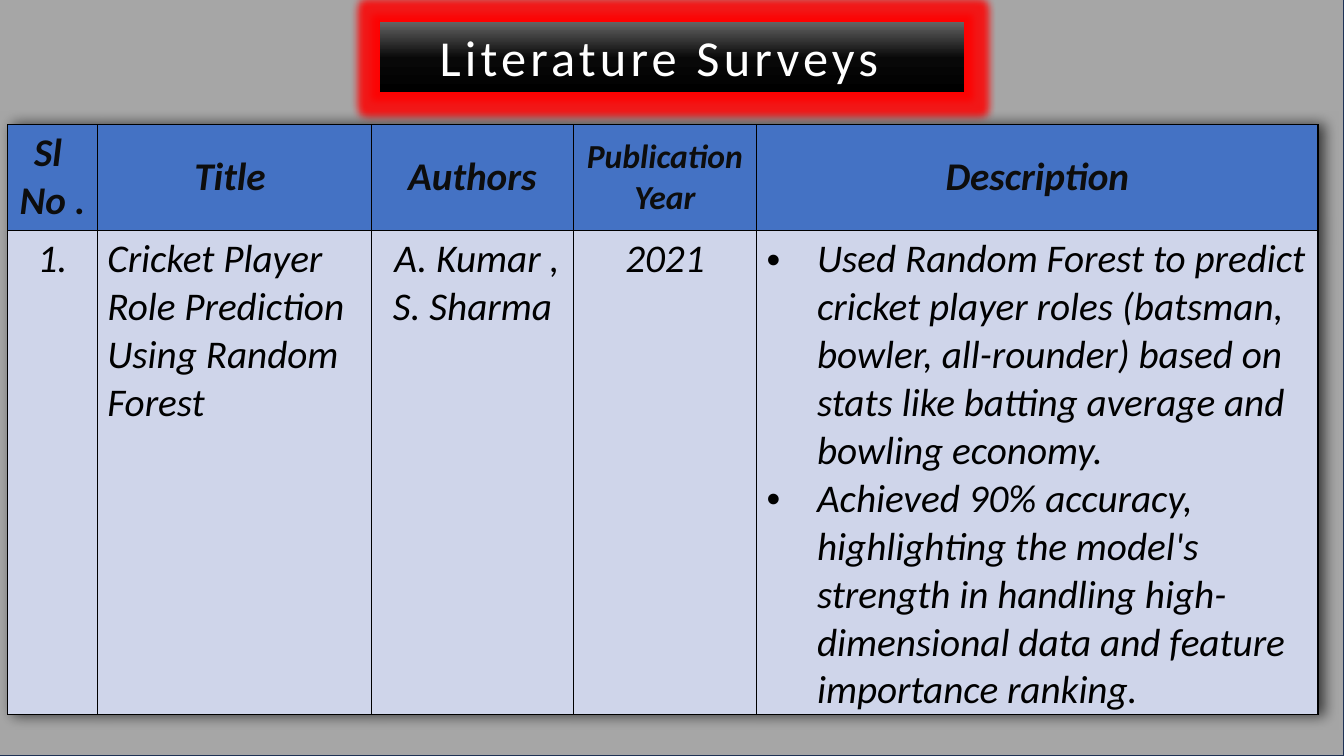
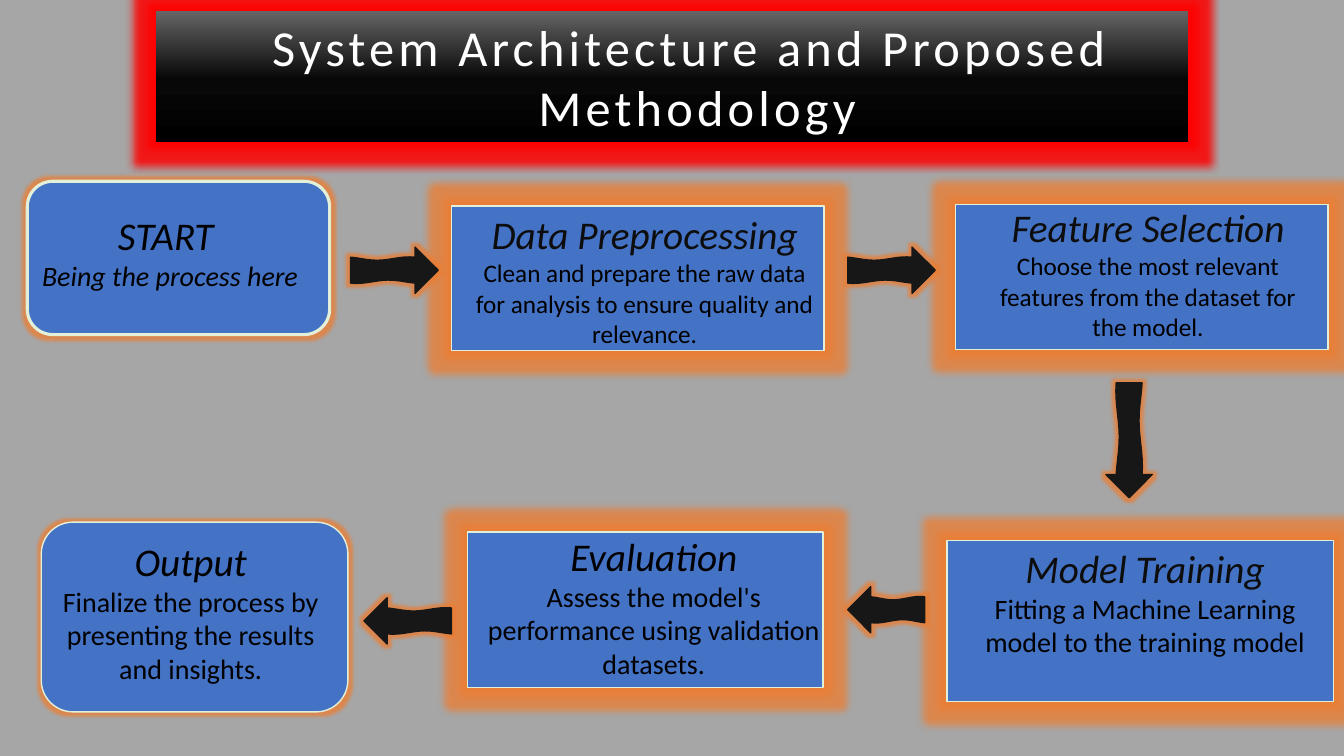
"""Build two project slides: a literature survey table and a process flow."""
from dataclasses import dataclass
from math import pi, sin
from typing import Any, NamedTuple

from lxml.etree import SubElement
from pptx import Presentation
from pptx.dml.color import RGBColor
from pptx.enum.shapes import MSO_SHAPE
from pptx.enum.text import MSO_ANCHOR, PP_ALIGN
from pptx.oxml import parse_xml
from pptx.oxml.ns import nsdecls, qn
from pptx.util import Pt

COLORS = {
    "backdrop": "A6A6A6", "navy": "1E3256", "red": "FF0000", "white": "FFFFFF",
    "black": "000000", "ink": "0D0D0D", "blue": "4472C4", "row": "CFD5EA",
    "edge": "E2F0D9", "orange": "ED7D31", "arrow": "181717",
    "title_mid": "080808", "title_top": "666666",
}
FONT = "Calibri"
CENTER, LEFT = PP_ALIGN.CENTER, PP_ALIGN.LEFT


class Box(NamedTuple):
    left: float
    top: float
    width: float
    height: float

    def emu(self) -> list[int]:
        return [Pt(v) for v in self]


@dataclass(frozen=True)
class Step:
    box: Box
    text_box: Box
    heading: str
    body: str
    color: str = "black"
    body_size: float = 20
    body_italic: bool = False
    rounded: bool = False
    line: float = 1


@dataclass(frozen=True)
class Arrow:
    box: Box
    rotation: float = 0


@dataclass(frozen=True)
class Column:
    width: float
    header: list[str]
    body: list[str]
    header_size: float = 28
    align: Any = CENTER
    bullet: bool = False


STEPS = [
    Step(Box(19.5, 129.5, 216, 109.5), Box(-27.5, 147.5, 298, 66),
         "START ", "Being the process here", body_italic=True, rounded=True, line=2.25),
    Step(Box(322.5, 147, 266, 103.5), Box(327.5, 147, 266, 128), "Data Preprocessing",
         "Clean and prepare the raw data for analysis to ensure quality and relevance.",
         "ink", 18),
    Step(Box(682.5, 146, 266, 103.5), Box(696, 142, 248, 128), "Feature Selection",
         "Choose the most relevant features from the dataset for the model.", "ink", 18),
    Step(Box(676.5, 386, 276, 115), Box(692, 385, 252, 112), "Model Training",
         "Fitting a Machine Learning model to the training model", "ink"),
    Step(Box(334, 380, 254, 111), Box(341, 376.5, 252, 135), "Evaluation",
         "Assess the model's performance using validation datasets."),
    Step(Box(29.5, 373, 219, 135.5), Box(35.5, 380, 201.5, 114), "Output",
         "Finalize the process by presenting the results and insights.", rounded=True),
]

ARROWS = [
    Arrow(Box(250.5, 176.5, 62.5, 33)),
    Arrow(Box(605.5, 176.5, 62.5, 33)),
    Arrow(Box(765.5, 298, 82, 33), 90),
    Arrow(Box(605.5, 419, 55, 33), 180),
    Arrow(Box(260, 427, 62.5, 33), 180),
]

COLUMNS = [
    Column(64, ["Sl ", "No ."], ["1."]),
    Column(196, ["Title "], ["Cricket Player Role Prediction Using Random Forest"], align=LEFT),
    Column(144, ["Authors"], [" A. Kumar , ", "S. Sharma"]),
    Column(131, ["Publication Year"], ["2021"], header_size=24),
    Column(401, ["Description"], [
        "Used Random Forest to predict cricket player roles (batsman, bowler, all-rounder) "
        "based on stats like batting average and bowling economy.",
        "Achieved 90% accuracy, highlighting the model's strength in handling "
        "high-dimensional data and feature importance ranking.",
    ], align=LEFT, bullet=True),
]


def rgb(name: str) -> RGBColor:
    return RGBColor.from_string(COLORS[name])


def write(tf: Any, text: str, *, size: float, color: str = "black", bold: bool = False,
          italic: bool = False, align: Any = CENTER, spacing: float = 0,
          indent: float = 0, bullet: bool = False) -> None:
    p = tf.paragraphs[0] if not tf.paragraphs[0].runs else tf.add_paragraph()
    p.alignment = align
    pPr = p._p.get_or_add_pPr()
    if indent:
        pPr.set("marL", str(Pt(indent)))
    if bullet:
        pPr.set("indent", str(-Pt(indent)))
        SubElement(pPr, qn("a:buFont"), typeface="Arial")
        SubElement(pPr, qn("a:buChar"), char="•")
    r = p.add_run()
    r.text = text
    r.font.name, r.font.size = FONT, Pt(size)
    r.font.bold, r.font.italic = bold, italic
    r.font.color.rgb = rgb(color)
    if spacing:
        r._r.get_or_add_rPr().set("spc", str(int(spacing * 100)))


def paint(sp: Any, line: str, width: float, fill: str = "") -> None:
    sp.shadow.inherit = False
    if fill:
        sp.fill.solid()
        sp.fill.fore_color.rgb = rgb(fill)
    sp.line.color.rgb = rgb(line)
    sp.line.width = Pt(width)


def add_glow(sp: Any, color: str, radius: float, alpha: int) -> None:
    sp._element.spPr.find(qn("a:effectLst")).append(parse_xml(
        f'<a:glow {nsdecls("a")} rad="{Pt(radius)}"><a:srgbClr val="{COLORS[color]}">'
        f'<a:alpha val="{alpha * 1000}"/></a:srgbClr></a:glow>'))


def add_backdrop(s: Any, box: Box) -> None:
    sp = s.shapes.add_shape(MSO_SHAPE.RECTANGLE, *box.emu())
    paint(sp, "navy", 1, "backdrop")


def add_title(s: Any, box: Box, lines: list[str], align: Any) -> None:
    sp = s.shapes.add_shape(MSO_SHAPE.RECTANGLE, *box.emu())
    stops = "".join(
        f'<a:gs pos="{pos * 1000}"><a:srgbClr val="{COLORS[name]}"/></a:gs>'
        for pos, name in ((0, "black"), (48, "title_mid"), (100, "title_top")))
    sp._element.spPr.insert(2, parse_xml(
        f'<a:gradFill {nsdecls("a")} rotWithShape="1"><a:gsLst>{stops}</a:gsLst>'
        '<a:lin ang="16200000" scaled="0"/></a:gradFill>'))
    paint(sp, "red", 0.75)
    add_glow(sp, "red", 11, 85)
    tf = sp.text_frame
    tf.word_wrap, tf.vertical_anchor = True, MSO_ANCHOR.MIDDLE
    for line in lines:
        write(tf, line, size=36, color="white", align=align, spacing=3, indent=36)


def add_borders(cell: Any) -> None:
    tcPr = cell._tc.get_or_add_tcPr()
    for side in ("lnL", "lnR", "lnT", "lnB"):
        ln = SubElement(tcPr, qn(f"a:{side}"), w=str(Pt(1)))
        fill = SubElement(ln, qn("a:solidFill"))
        SubElement(fill, qn("a:srgbClr"), val=COLORS["black"])


def fill_cell(cell: Any, fill: str) -> Any:
    add_borders(cell)
    cell.fill.solid()
    cell.fill.fore_color.rgb = rgb(fill)
    return cell.text_frame


def add_survey_table(s: Any, left: float, top: float, heights: tuple[float, float]) -> None:
    box = Box(left, top, sum(c.width for c in COLUMNS), sum(heights))
    table = s.shapes.add_table(len(heights), len(COLUMNS), *box.emu()).table
    table._tbl.tblPr.insert(0, parse_xml(
        f'<a:effectLst {nsdecls("a")}><a:outerShdw blurRad="{Pt(10)}" dist="{Pt(4)}" dir="0">'
        f'<a:srgbClr val="{COLORS["black"]}"><a:alpha val="65000"/></a:srgbClr>'
        '</a:outerShdw></a:effectLst>'))
    for row, height in zip(table.rows, heights):
        row.height = Pt(height)
    for i, column in enumerate(COLUMNS):
        table.columns[i].width = Pt(column.width)
        header, body = table.cell(0, i), table.cell(1, i)
        header.vertical_anchor = MSO_ANCHOR.MIDDLE
        body.margin_bottom = 0
        tf = fill_cell(header, "blue")
        for text in column.header:
            write(tf, text, size=column.header_size, color="ink", bold=True, italic=True)
        tf = fill_cell(body, "row")
        for text in column.body:
            write(tf, text, size=28, italic=True, align=column.align,
                  indent=36 if column.bullet else 0, bullet=column.bullet)


def add_step(s: Any, step: Step) -> None:
    kind = MSO_SHAPE.ROUNDED_RECTANGLE if step.rounded else MSO_SHAPE.RECTANGLE
    sp = s.shapes.add_shape(kind, *step.box.emu())
    paint(sp, "edge", step.line, "blue")
    add_glow(sp, "orange", 5 if step.rounded else 11, 75)
    tf = s.shapes.add_textbox(*step.text_box.emu()).text_frame
    tf.word_wrap = True
    write(tf, step.heading, size=28, color=step.color, italic=True)
    write(tf, step.body, size=step.body_size, italic=step.body_italic)


def add_arrow(s: Any, arrow: Arrow) -> None:
    left, top, width, height = arrow.box
    middle, neck, half, parts = top + height / 2, width - 16.5, 8.25, 12

    def edge(side: int) -> list[tuple[float, float]]:
        return [(left + neck * i / parts,
                 middle + side * half + 1.2 * sin(2 * pi * i / parts + side))
                for i in range(parts + 1)]

    head = [(left + neck, top), (left + width, middle), (left + neck, top + height)]
    points = [(Pt(x), Pt(y)) for x, y in edge(-1) + head + edge(1)[::-1]]
    outline = s.shapes.build_freeform(*points[0])
    outline.add_line_segments(points[1:], close=True)
    sp = outline.convert_to_shape()
    sp.rotation = arrow.rotation
    paint(sp, "arrow", 1, "arrow")
    add_glow(sp, "orange", 5, 75)


def main() -> None:
    prs = Presentation()
    prs.slide_width, prs.slide_height = Pt(960), Pt(540)
    blank = prs.slide_layouts[6]

    s = prs.slides.add_slide(blank)
    add_backdrop(s, Box(-45, -8, 1005, 548))
    add_title(s, Box(271, 15, 418, 51), ["Literature Surveys"], LEFT)
    add_survey_table(s, 5.5, 89, (74, 343.5))

    s = prs.slides.add_slide(blank)
    add_backdrop(s, Box(-11, -7, 986, 557))
    add_title(s, Box(111, 7.5, 738, 94),
              ["System Architecture and Proposed ", "Methodology"], CENTER)
    for step in STEPS:
        add_step(s, step)
    for arrow in ARROWS:
        add_arrow(s, arrow)

    prs.save("out.pptx")


if __name__ == "__main__":
    main()
